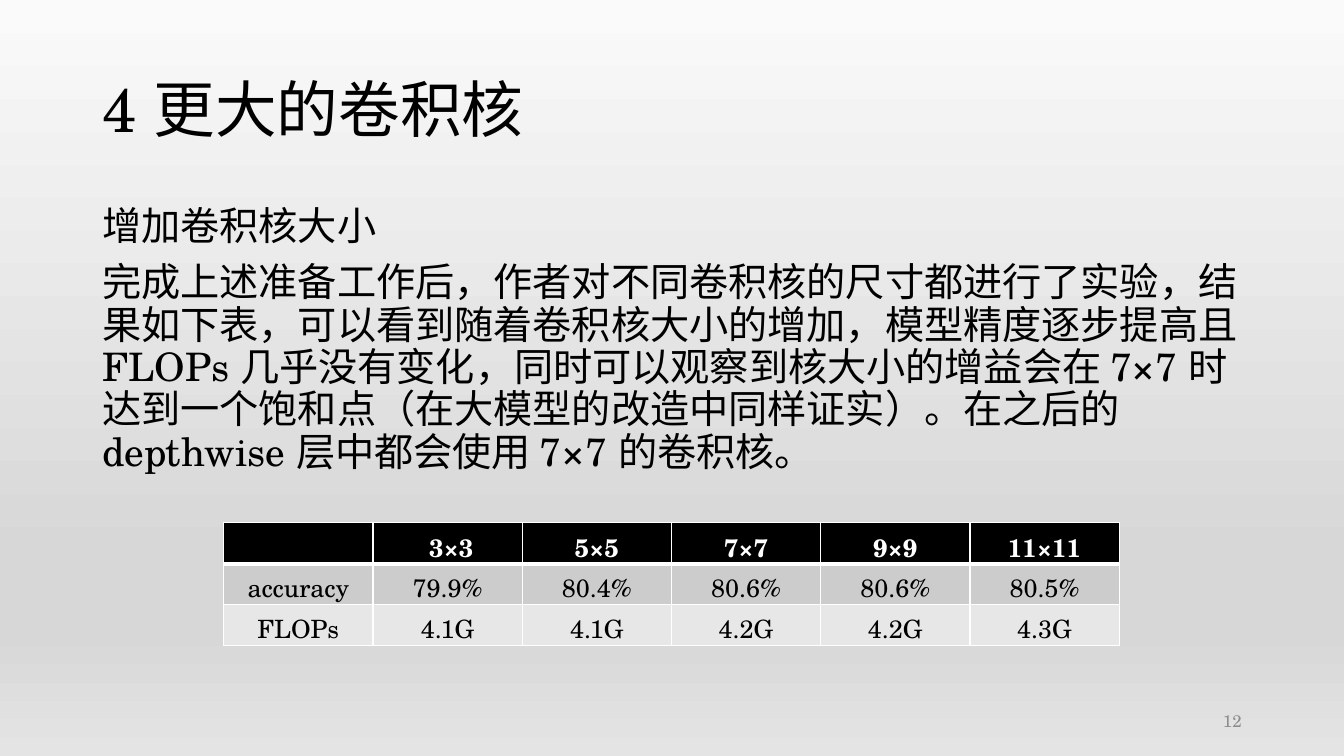
from dataclasses import dataclass

from lxml.etree import SubElement
from pptx import Presentation
from pptx.dml.color import RGBColor
from pptx.enum.lang import MSO_LANGUAGE_ID as Language
from pptx.enum.text import MSO_ANCHOR as Anchor, PP_ALIGN as Align
from pptx.oxml import parse_xml
from pptx.oxml.ns import nsdecls, qn
from pptx.slide import Slide
from pptx.table import _Cell as Cell
from pptx.text.text import TextFrame
from pptx.util import Emu, Pt

EMU_PER_PX = 9525


@dataclass(frozen=True)
class Theme:
    font: str = "TeX Gyre Schola"
    ink: str = "000000"
    white: str = "FFFFFF"
    muted: str = "8C8C8C"
    row_fills: tuple[str, ...] = ("000000", "CCCCCC", "E7E7E7")
    backdrop: tuple[tuple[int, str], ...] = (
        (0, "FAFAFA"), (74, "D7D7D7"), (83, "D7D7D7"), (100, "E4E4E4"))
    title_size: int = 44
    body_size: int = 28
    table_size: int = 18
    page_size: int = 12
    thin_rule: int = 1
    header_rule: int = 3


@dataclass(frozen=True)
class Box:
    left: int
    top: int
    width: int
    height: int

    def emu(self) -> tuple[Emu, ...]:
        return tuple(px(n) for n in (self.left, self.top, self.width, self.height))


@dataclass(frozen=True)
class TextBlock:
    box: Box
    paragraphs: tuple[str, ...]
    size: int
    color: str
    anchor: Anchor = Anchor.MIDDLE
    align: Align = Align.LEFT
    line_spacing: float = 0.9


THEME = Theme()

TEXT_BLOCKS = (
    TextBlock(Box(88, 38, 1104, 139), ("4 更大的卷积核",), THEME.title_size, THEME.ink),
    TextBlock(
        Box(88, 192, 1104, 457),
        (
            "增加卷积核大小",
            "完成上述准备工作后，作者对不同卷积核的尺寸都进行了实验，结果如下表，"
            "可以看到随着卷积核大小的增加，模型精度逐步提高且 FLOPs 几乎没有变化，"
            "同时可以观察到核大小的增益会在 7×7 时达到一个饱和点"
            "（在大模型的改造中同样证实）。在之后的 depthwise 层中都会使用 7×7 的卷积核。",
        ),
        THEME.body_size, THEME.ink, anchor=Anchor.TOP),
    TextBlock(Box(904, 667, 288, 38), ("12",), THEME.page_size, THEME.muted,
              align=Align.RIGHT, line_spacing=1.0),
)

KERNEL_BOX = Box(213, 498, 853, 117)
KERNEL_ROWS = (
    ("", " 3×3", "5×5", "7×7", "9×9", "11×11"),
    ("accuracy", "79.9%", "80.4%", "80.6%", "80.6%", "80.5%"),
    ("FLOPs", "4.1G", "4.1G", "4.2G", "4.2G", "4.3G"),
)


def px(length: int) -> Emu:
    return Emu(length * EMU_PER_PX)


def write(frame: TextFrame, *texts: str, size: int, color: str, bold: bool = False,
          align: Align = Align.LEFT, line_spacing: float = 1.0, gap: int = 0) -> None:
    """Fill the frame with one paragraph per text, gap points apart."""
    for index, text in enumerate(texts):
        paragraph = frame.add_paragraph() if index else frame.paragraphs[0]
        paragraph.alignment = align
        paragraph.line_spacing = line_spacing
        paragraph.space_before = Pt(gap if index else 0)
        run = paragraph.add_run()
        run.text = text
        font = run.font
        font.name, font.size, font.bold = THEME.font, Pt(size), bold
        font.color.rgb = RGBColor.from_string(color)
        font.language_id = Language.SIMPLIFIED_CHINESE


def paint_backdrop(slide: Slide) -> None:
    fill = slide.background.fill
    fill.gradient()
    fill.gradient_angle = 270
    stops = next(slide.element.iter(qn("a:gsLst")))
    stops.clear()
    for percent, color in THEME.backdrop:
        stop = SubElement(stops, qn("a:gs"), pos=str(percent * 1000))
        SubElement(stop, qn("a:srgbClr"), val=color)


def add_text_block(slide: Slide, block: TextBlock) -> None:
    frame = slide.shapes.add_textbox(*block.box.emu()).text_frame
    frame.word_wrap = True
    frame.vertical_anchor = block.anchor
    write(frame, *block.paragraphs, size=block.size, color=block.color,
          align=block.align, line_spacing=block.line_spacing, gap=10)


def rule_cell(cell: Cell, top: int, bottom: int) -> None:
    """Draw the cell borders, with top and bottom widths in points."""
    properties = cell._tc.get_or_add_tcPr()
    widths = {"L": THEME.thin_rule, "R": THEME.thin_rule, "T": top, "B": bottom}
    for index, (side, width) in enumerate(widths.items()):
        properties.insert(index, parse_xml(
            f'<a:ln{side} {nsdecls("a")} w="{Pt(width)}"><a:solidFill>'
            f'<a:srgbClr val="{THEME.white}"/></a:solidFill></a:ln{side}>'))


def add_kernel_table(slide: Slide) -> None:
    row_count, column_count = len(KERNEL_ROWS), len(KERNEL_ROWS[0])
    table = slide.shapes.add_table(row_count, column_count, *KERNEL_BOX.emu()).table
    for r, values in enumerate(KERNEL_ROWS):
        is_header = r == 0
        for c, value in enumerate(values):
            cell = table.cell(r, c)
            cell.fill.solid()
            cell.fill.fore_color.rgb = RGBColor.from_string(THEME.row_fills[r])
            rule_cell(cell,
                      top=THEME.header_rule if r == 1 else THEME.thin_rule,
                      bottom=THEME.header_rule if is_header else THEME.thin_rule)
            write(cell.text_frame, value, size=THEME.table_size, bold=is_header,
                  color=THEME.white if is_header else THEME.ink, align=Align.CENTER)


def main() -> None:
    deck = Presentation()
    deck.slide_width, deck.slide_height = px(1280), px(720)
    slide = deck.slides.add_slide(deck.slide_layouts[6])
    paint_backdrop(slide)
    for block in TEXT_BLOCKS:
        add_text_block(slide, block)
    add_kernel_table(slide)
    deck.save("out.pptx")


if __name__ == "__main__":
    main()
